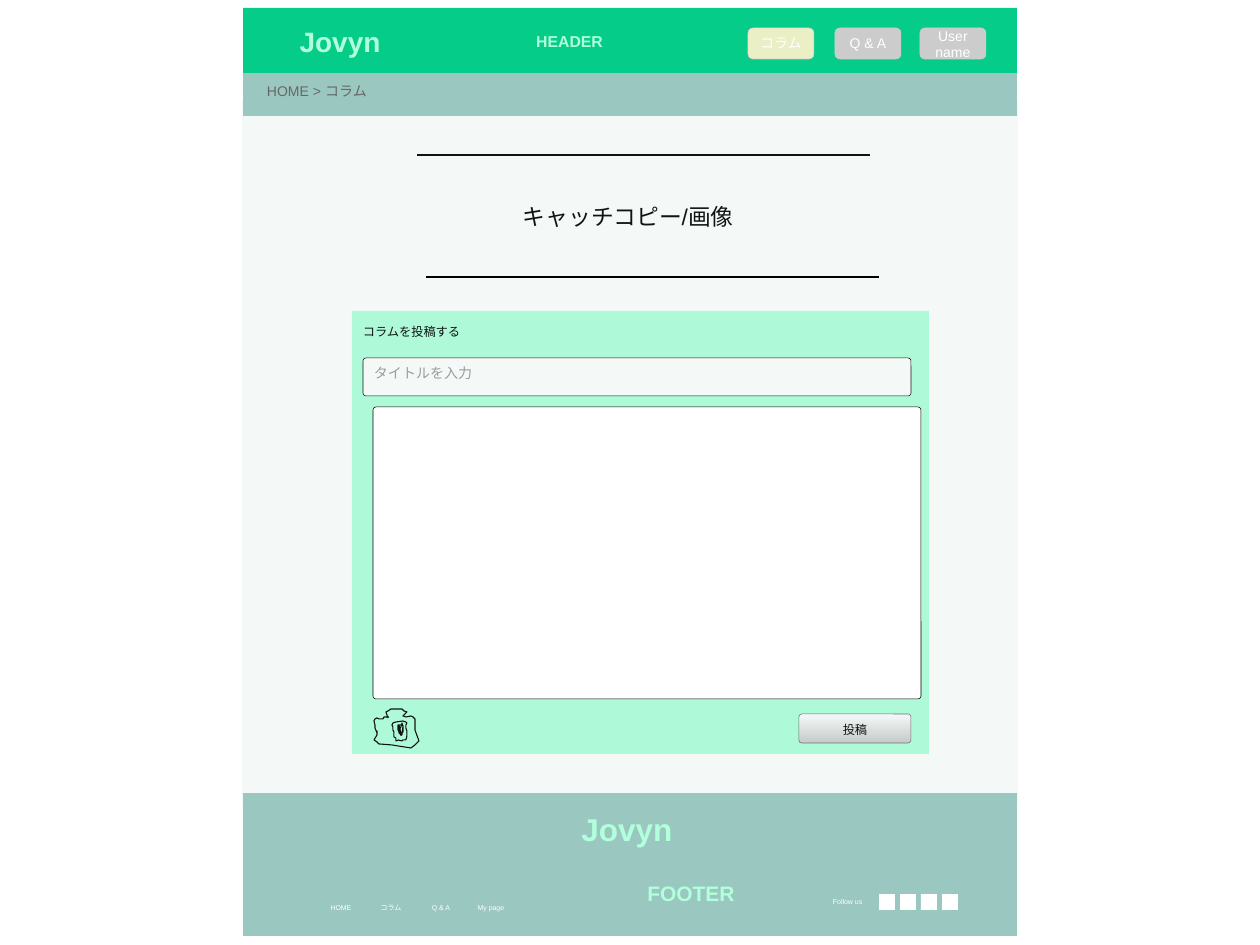
from dataclasses import dataclass
from typing import Optional

from lxml.etree import SubElement
from pptx import Presentation
from pptx.dml.color import RGBColor as RGB
from pptx.enum.shapes import MSO_CONNECTOR as CONN, MSO_SHAPE as SHAPE
from pptx.enum.text import MSO_ANCHOR as ANCHOR, MSO_AUTO_SIZE as AUTO, PP_ALIGN as ALIGN
from pptx.oxml.ns import qn
from pptx.util import Emu, Pt

EMU_PER_PX = 914400 / 126
FONT = "Arial"
COLORS = {
    "black": "000000", "white": "FFFFFF", "gray": "CCCCCC", "dim": "666666",
    "hint": "999999", "mint": "B1FFDB", "teal": "9AC7BF", "green": "06CC8A",
    "cream": "FFF2CC",
}


@dataclass
class Box:
    x: int
    y: int
    w: int
    h: int
    fill: str
    line: Optional[str] = None
    radius: int = 0
    alpha: int = 100
    fill_end: Optional[str] = None  # lower colour of a vertical gradient


@dataclass
class Label:
    x: int
    y: int
    w: int
    h: int
    text: str
    size: int
    color: str
    bold: bool = False
    center: bool = True
    middle: bool = True


@dataclass
class Rule:
    x: int
    y: int
    w: int


@dataclass
class Sketch:
    points: list


def px(n: int) -> Emu:
    return Emu(round(n * EMU_PER_PX))


def rgb(name: str) -> RGB:
    return RGB.from_string(COLORS[name])


def draw_box(s, b: Box) -> None:
    kind = SHAPE.ROUNDED_RECTANGLE if b.radius else SHAPE.RECTANGLE
    sp = s.shapes.add_shape(kind, px(b.x), px(b.y), px(b.w), px(b.h))
    sp.shadow.inherit = False
    if b.radius:
        sp.adjustments[0] = b.radius / min(b.w, b.h)
    if b.fill_end:
        sp.fill.gradient()
        sp.fill.gradient_angle = 270
        for stop, color in zip(sp.fill.gradient_stops, (b.fill, b.fill_end)):
            stop.color.rgb = rgb(color)
    else:
        sp.fill.solid()
        sp.fill.fore_color.rgb = rgb(b.fill)
    if b.alpha < 100:
        clr = sp.element.spPr.find(qn("a:solidFill")).find(qn("a:srgbClr"))
        SubElement(clr, qn("a:alpha"), val=str(b.alpha * 1000))
    if b.line:
        sp.line.color.rgb = rgb(b.line)
        sp.line.width = Pt(0.31)
    else:
        sp.line.fill.background()


def draw_label(s, t: Label) -> None:
    tf = s.shapes.add_textbox(px(t.x), px(t.y), px(t.w), px(t.h)).text_frame
    tf.margin_left = tf.margin_right = tf.margin_top = tf.margin_bottom = 0
    tf.word_wrap = True
    tf.auto_size = AUTO.SHAPE_TO_FIT_TEXT
    tf.vertical_anchor = ANCHOR.MIDDLE if t.middle else ANCHOR.TOP
    tf.text = t.text
    for p in tf.paragraphs:
        p.alignment = ALIGN.CENTER if t.center else ALIGN.LEFT
        for r in p.runs:
            r.font.name = FONT
            r.font.size = Pt(t.size)
            r.font.bold = t.bold
            r.font.color.rgb = rgb(t.color)


def draw_rule(s, rule: Rule) -> None:
    ln = s.shapes.add_connector(CONN.STRAIGHT, px(rule.x), px(rule.y),
                                px(rule.x + rule.w), px(rule.y))
    ln.line.color.rgb = rgb("black")
    ln.line.width = Pt(0.94)
    SubElement(ln.element.spPr, qn("a:effectLst"))


def draw_sketch(s, sketch: Sketch) -> None:
    fb = s.shapes.build_freeform(*sketch.points[0], scale=EMU_PER_PX)
    fb.add_line_segments(sketch.points[1:], close=False)
    sp = fb.convert_to_shape()
    sp.shadow.inherit = False
    sp.fill.background()
    sp.line.color.rgb = rgb("black")
    sp.line.width = Pt(0.62)


# Hand-drawn camera: body, lens, inner lens
CAMERA = [
    [(388, 718), (386, 712), (388, 711), (391, 709), (402, 709), (404, 711),
     (407, 712), (403, 716), (406, 717), (411, 716), (413, 717), (415, 719),
     (415, 730), (419, 741), (415, 745), (411, 748), (398, 746), (392, 745),
     (379, 744), (377, 742), (374, 740), (377, 735), (377, 731), (377, 733),
     (375, 728), (375, 725), (374, 721), (375, 719), (377, 718), (379, 719),
     (383, 719), (384, 717), (389, 717)],
    [(399, 740), (396, 741), (396, 738), (394, 737), (394, 732), (393, 730),
     (393, 727), (392, 725), (393, 723), (396, 722), (403, 721), (406, 722),
     (407, 723), (406, 725), (406, 728), (407, 731), (407, 736), (406, 740),
     (403, 740), (402, 741), (398, 740)],
    [(399, 732), (398, 730), (398, 725), (402, 725), (403, 726), (403, 732),
     (402, 733), (401, 735), (399, 733), (399, 725), (401, 733), (402, 735),
     (403, 726), (402, 723), (401, 727), (399, 730), (401, 735), (401, 736)],
]
FOOTER_LINKS = ["HOME", "コラム", "Q & A", "My page"]
BRAND = "Jovyn"

ITEMS = [
    # Catch copy and posting form
    Label(523, 203, 234, 28, "キャッチコピー/画像", 13, "black", center=False, middle=False),
    Rule(417, 155, 453),
    Box(352, 311, 577, 443, "mint"),
    Label(363, 324, 164, 15, "コラムを投稿する", 7, "black", center=False, middle=False),
    Box(363, 358, 548, 38, "white", "black", 3),
    Label(374, 365, 140, 16, "タイトルを入力", 8, "hint", center=False, middle=False),
    *[Sketch(points) for points in CAMERA],
    Box(799, 714, 112, 29, "white", "dim", 3, fill_end="gray"),
    Label(799, 722, 112, 15, "投稿", 7, "black"),
    # Footer band, page tint, breadcrumb and header
    Box(243, 793, 774, 143, "teal"),
    Box(242, 100, 776, 706, "teal", alpha=10),
    Box(243, 73, 774, 43, "teal"),
    Label(267, 83, 136, 16, "HOME > コラム", 8, "dim", center=False, middle=False),
    Box(243, 8, 774, 65, "green"),
    Label(496, 32, 147, 19, "HEADER", 9, "mint", bold=True),
    Label(262, 24, 156, 34, BRAND, 16, "mint", bold=True),
    # Header buttons
    Box(748, 28, 66, 31, "cream", "gray", 5, alpha=92),
    Label(748, 35, 66, 16, "コラム", 8, "white"),
    Box(835, 28, 66, 31, "gray", "gray", 5),
    Label(835, 35, 66, 16, "Q & A", 8, "white"),
    Box(920, 28, 66, 31, "gray", "gray", 5),
    Label(920, 27, 66, 34, "User\nname", 8, "white"),
    # Lower rule and column text area
    Rule(426, 277, 453),
    Box(373, 407, 548, 292, "white", "black", 3),
    # Footer content
    Label(586, 881, 210, 25, "FOOTER", 12, "mint", bold=True),
    *[Box(879 + 21 * i, 894, 16, 16, "white") for i in range(4)],
    Label(833, 897, 34, 9, "Follow us", 4, "white", center=False),
    *[Label(316 + 50 * i, 903, 50, 9, text, 4, "white")
      for i, text in enumerate(FOOTER_LINKS)],
    Label(522, 810, 210, 38, BRAND, 18, "mint", bold=True),
]
DRAW = {Box: draw_box, Label: draw_label, Rule: draw_rule, Sketch: draw_sketch}


def main() -> None:
    prs = Presentation()
    prs.slide_width, prs.slide_height = px(1260), px(945)
    s = prs.slides.add_slide(prs.slide_layouts[6])
    for item in ITEMS:
        DRAW[type(item)](s, item)
    prs.save("out.pptx")


if __name__ == "__main__":
    main()
